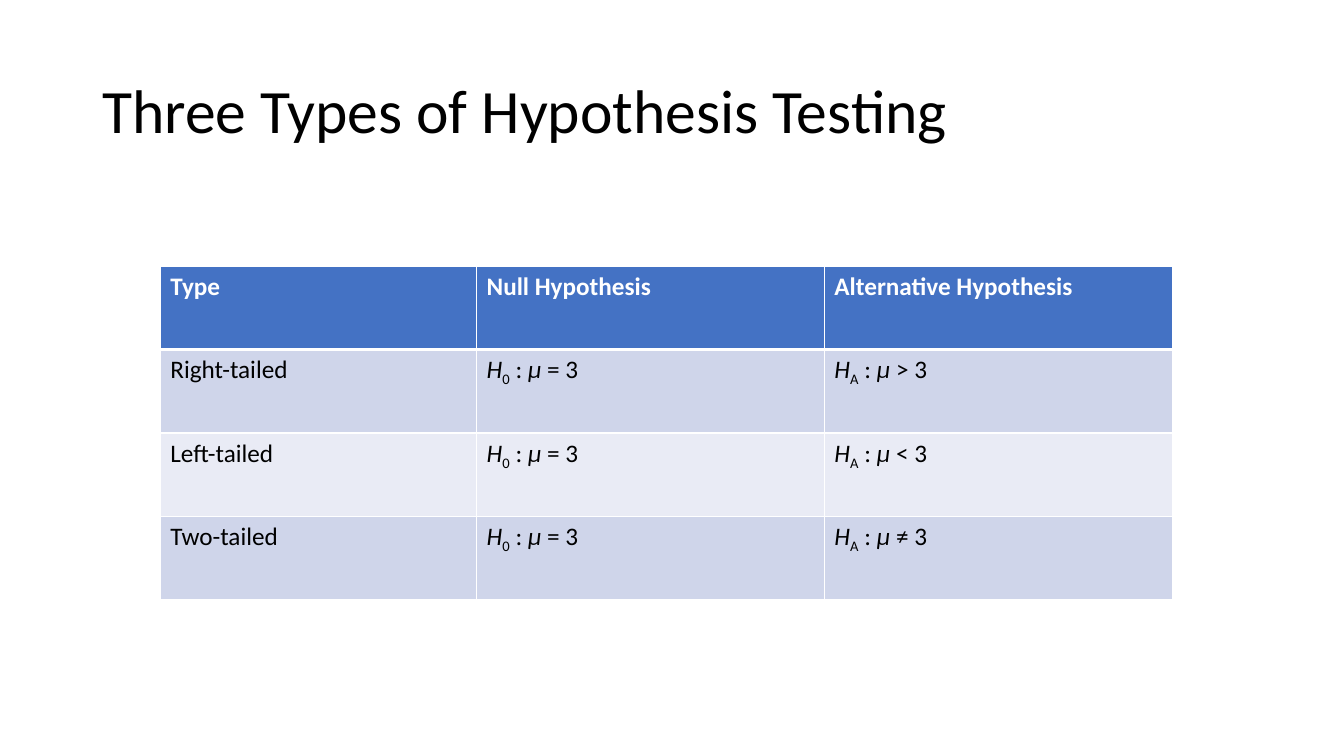
import dataclasses
import lxml.etree
import pptx
import pptx.dml.color
import pptx.enum.text
import pptx.oxml.ns
import pptx.util

Pt = pptx.util.Pt
RGB = pptx.dml.color.RGBColor.from_string


@dataclasses.dataclass(frozen=True)
class Theme:
    font: str = "Calibri"
    title: int = 44
    body: int = 18
    dark: str = "000000"
    light: str = "FFFFFF"
    head: str = "4472C4"
    bands: tuple = ("CFD5EA", "E9EBF5")
    thin: int = 1
    thick: int = 3


THEME = Theme()
HEADS = ("Type", "Null Hypothesis", "Alternative Hypothesis")
TESTS = (("Right-tailed", ">"), ("Left-tailed", "<"), ("Two-tailed", "≠"))
WIDTHS = (226, 248.4, 248.4)
HEIGHT = 59.6


def set_font(para, size, color, bold=False):
    font = para.font
    font.name = THEME.font
    font.size = Pt(size)
    font.bold = bold
    font.color.rgb = RGB(color)


def add_title(slide, text):
    box = slide.shapes.add_textbox(Pt(66), Pt(28.8), Pt(828), Pt(104.4))
    frame = box.text_frame
    frame.word_wrap = True
    frame.vertical_anchor = pptx.enum.text.MSO_ANCHOR.MIDDLE
    para = frame.paragraphs[0]
    para.text = text
    para.line_spacing = 0.9
    set_font(para, THEME.title, THEME.dark)


def add_edge(cell, side, width):
    props = cell._tc.get_or_add_tcPr()
    name = pptx.oxml.ns.qn
    line = lxml.etree.SubElement(props, name("a:ln" + side), w=str(Pt(width)))
    fill = lxml.etree.SubElement(line, name("a:solidFill"))
    lxml.etree.SubElement(fill, name("a:srgbClr"), val=THEME.light)


def style_cell(cell, row):
    for side in "LRTB":
        rule = (row, side) in ((0, "B"), (1, "T"))
        add_edge(cell, side, THEME.thick if rule else THEME.thin)
    cell.fill.solid()
    color = THEME.bands[(row - 1) % 2] if row else THEME.head
    cell.fill.fore_color.rgb = RGB(color)
    para = cell.text_frame.paragraphs[0]
    set_font(para, THEME.body, THEME.dark if row else THEME.light, row == 0)


def add_claim(cell, index, sign):
    para = cell.text_frame.paragraphs[0]
    parts = ("H", index, "\u00a0:\u00a0", "μ", f"\u00a0{sign} 3")
    for text in parts:
        run = para.add_run()
        run.text = text
        if text in ("H", "μ"):
            run.font.italic = True
        if text == index:
            run._r.get_or_add_rPr().set("baseline", "-25000")


def add_tests(slide):
    count = len(TESTS) + 1
    frame = slide.shapes.add_table(
        count, len(HEADS), Pt(114.5), Pt(190.1),
        Pt(sum(WIDTHS)), Pt(HEIGHT * count))
    table = frame.table
    for col, width in zip(table.columns, WIDTHS):
        col.width = Pt(width)
    for row in table.rows:
        row.height = Pt(HEIGHT)
    for col, text in enumerate(HEADS):
        table.cell(0, col).text = text
    for row, (kind, sign) in enumerate(TESTS, 1):
        table.cell(row, 0).text = kind
        add_claim(table.cell(row, 1), "0", "=")
        add_claim(table.cell(row, 2), "A", sign)
    for row in range(count):
        for col in range(len(HEADS)):
            style_cell(table.cell(row, col), row)


def main():
    deck = pptx.Presentation()
    deck.slide_width = Pt(960)
    deck.slide_height = Pt(540)
    slide = deck.slides.add_slide(deck.slide_layouts[6])
    add_title(slide, "Three Types of Hypothesis Testing")
    add_tests(slide)
    deck.save("out.pptx")


main()
